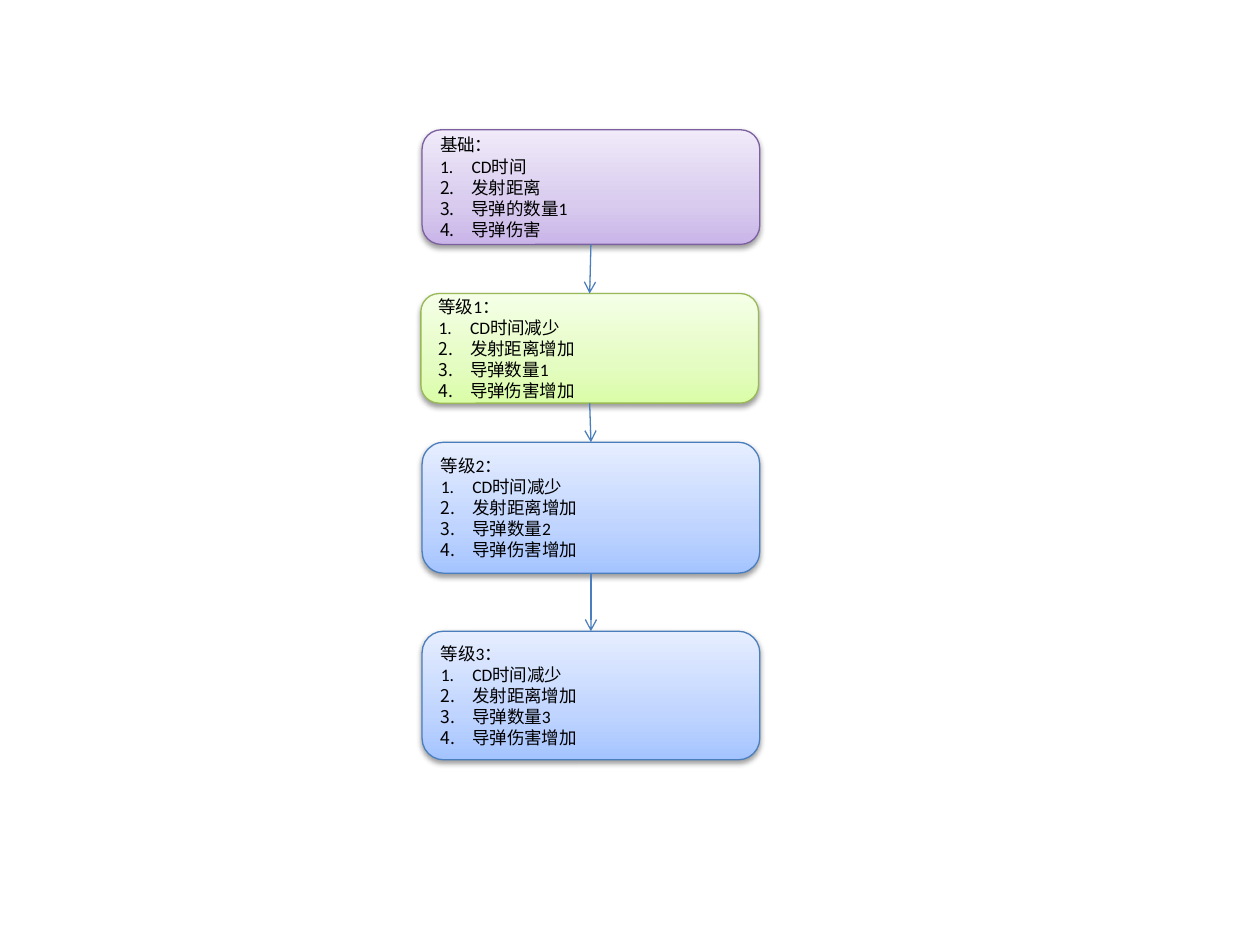
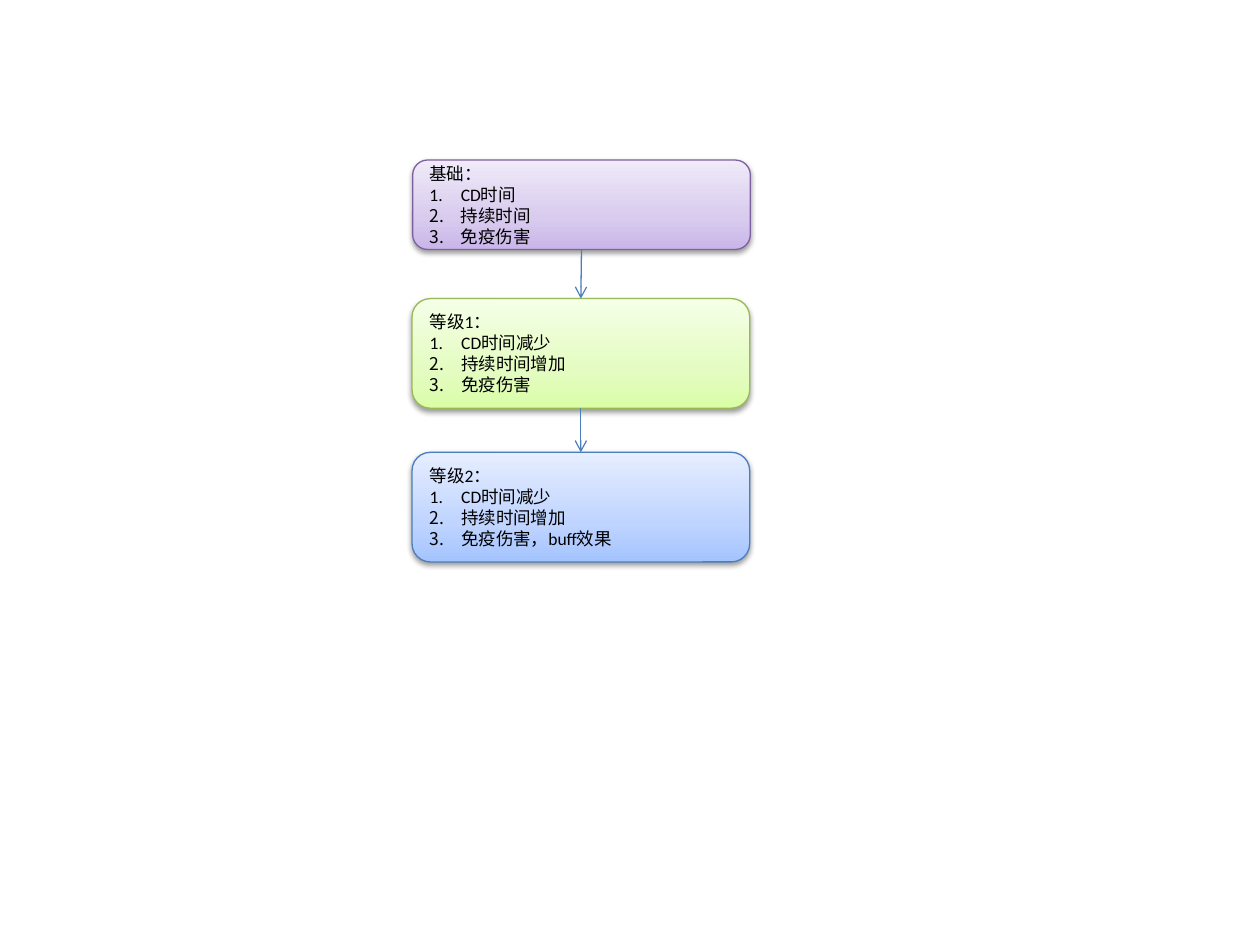
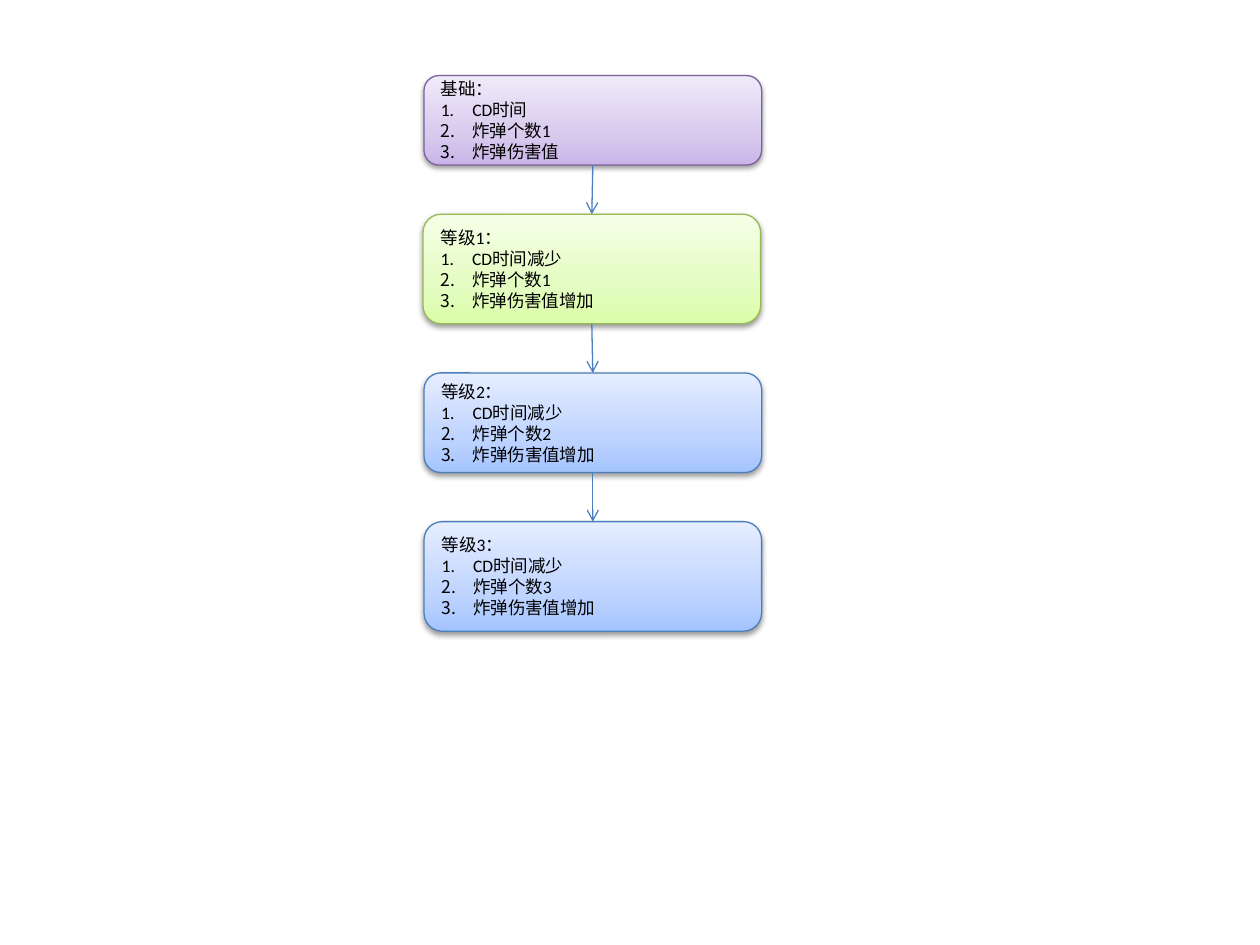
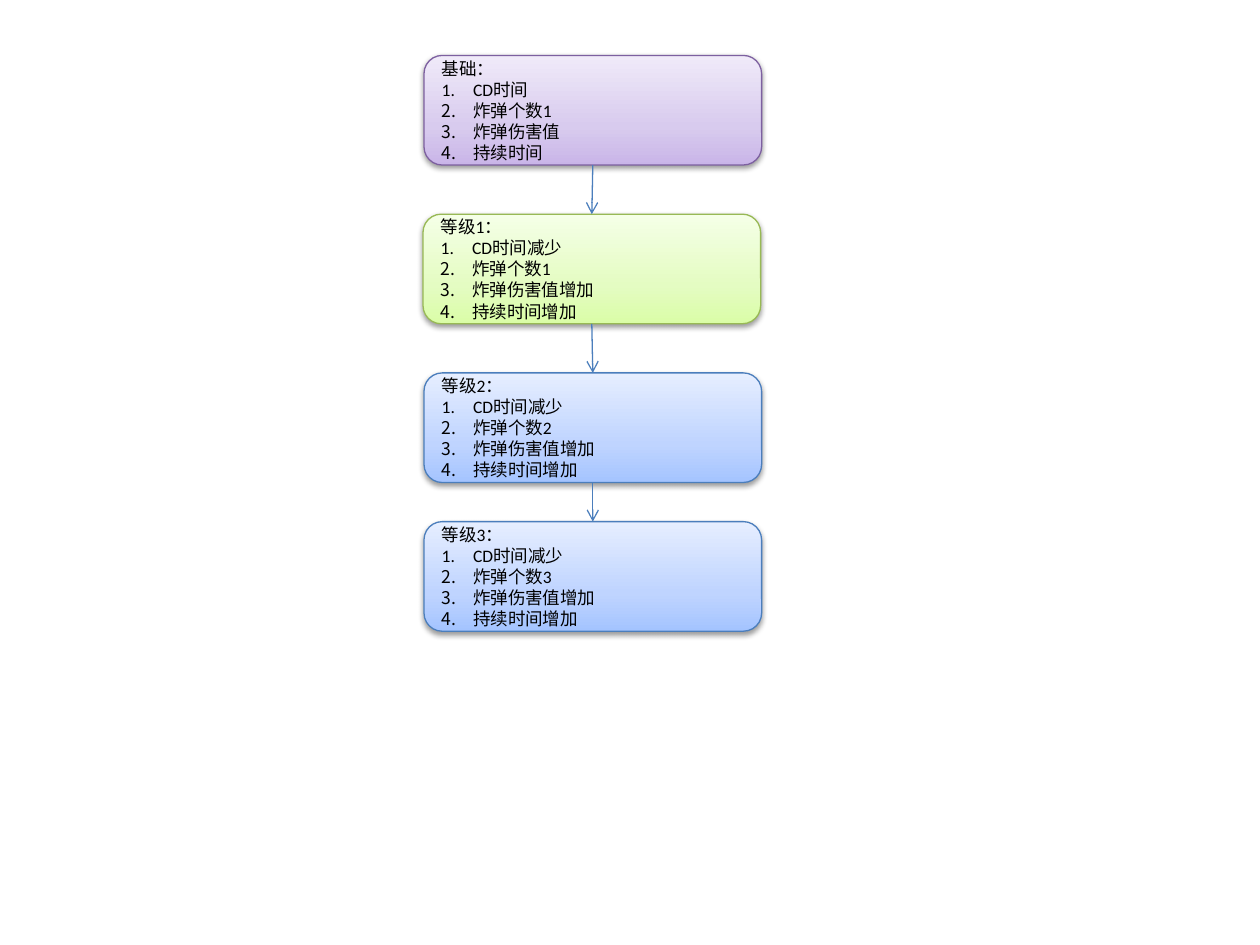
from copy import deepcopy

from lxml.etree import SubElement
from pptx import Presentation
from pptx.dml.color import RGBColor
from pptx.enum.shapes import MSO_CONNECTOR, MSO_SHAPE
from pptx.enum.text import MSO_ANCHOR, PP_ALIGN
from pptx.oxml.ns import qn
from pptx.util import Inches, Pt

presentation = Presentation()
presentation.slide_width = Inches(10)
presentation.slide_height = Inches(7.5)

# Grid: 100 columns by 75 rows
COLUMN = presentation.slide_width / 100
ROW = presentation.slide_height / 75
BOX_COLUMNS = 26.8
INDENT = int(2.5 * COLUMN)

# Shared formats: gradient stops run from the bottom of a box to its top
COLORS = {
    "purple": ["C9B5E8", "D8CBEE", "F0EAF9"],
    "green": ["DAFDA7", "E4FCC2", "F5FFE7"],
    "blue": ["A4C4FF", "BFD4FF", "E6EEFF"],
    "purple line": "7D60A0",
    "green line": "98B955",
    "blue line": "4B7EBC",
    "black": "000000",
}
STOP_POSITIONS = [0, 0.35, 1]
LEVEL_COLORS = ["purple", "green", "blue", "blue"]
LEVEL_TITLES = ["基础：", "等级1：", "等级2：", "等级3："]
FONT = {"name": "Calibri", "size": Pt(10)}
FRAME = {"word_wrap": True, "vertical_anchor": MSO_ANCHOR.MIDDLE}
SHADOW = {"blurRad": "40000", "dist": "20000", "dir": "5400000", "rotWithShape": "0"}

# One upgrade chain per slide: left column, top row, row count, numbered items
CHAINS = [
    [
        (33.5, 10.3, 9.1, ["CD时间", "发射距离", "导弹的数量1", "导弹伤害"]),
        (33.4, 23.3, 8.7, ["CD时间减少", "发射距离增加", "导弹数量1", "导弹伤害增加"]),
        (33.5, 35.1, 10.4, ["CD时间减少", "发射距离增加", "导弹数量2", "导弹伤害增加"]),
        (33.5, 50.1, 10.2, ["CD时间减少", "发射距离增加", "导弹数量3", "导弹伤害增加"]),
    ],
    [
        (32.75, 12.7, 7.1, ["CD时间", "持续时间", "免疫伤害"]),
        (32.7, 23.7, 8.7, ["CD时间减少", "持续时间增加", "免疫伤害"]),
        (32.7, 35.9, 8.7, ["CD时间减少", "持续时间增加", "免疫伤害，buff效果"]),
    ],
    [
        (33.65, 6, 7.1, ["CD时间", "炸弹个数1", "炸弹伤害值"]),
        (33.57, 17, 8.7, ["CD时间减少", "炸弹个数1", "炸弹伤害值增加"]),
        (33.65, 29.6, 7.9, ["CD时间减少", "炸弹个数2", "炸弹伤害值增加"]),
        (33.65, 41.4, 8.7, ["CD时间减少", "炸弹个数3", "炸弹伤害值增加"]),
    ],
    [
        (33.65, 4.4, 8.7, ["CD时间", "炸弹个数1", "炸弹伤害值", "持续时间"]),
        (33.57, 17, 8.7, ["CD时间减少", "炸弹个数1", "炸弹伤害值增加", "持续时间增加"]),
        (33.65, 29.6, 8.7, ["CD时间减少", "炸弹个数2", "炸弹伤害值增加", "持续时间增加"]),
        (33.65, 41.4, 8.7, ["CD时间减少", "炸弹个数3", "炸弹伤害值增加", "持续时间增加"]),
    ],
]


def set_line(line, color):
    line.color.rgb = RGBColor.from_string(COLORS[color])
    line.width = Pt(0.75)


def add_level_box(slide, left, top, rows, color):
    shape = slide.shapes.add_shape(
        MSO_SHAPE.ROUNDED_RECTANGLE, int(left * COLUMN), int(top * ROW),
        int(BOX_COLUMNS * COLUMN), int(rows * ROW))
    set_line(shape.line, color + " line")

    # Three-stop gradient, starting at the bottom
    shape.fill.gradient()
    shape.fill.gradient_angle = 90
    properties = shape._element.spPr
    stop_list = properties.find(qn("a:gradFill")).find(qn("a:gsLst"))
    stop_list.append(deepcopy(stop_list[0]))
    for stop, position, value in zip(shape.fill.gradient_stops, STOP_POSITIONS, COLORS[color]):
        stop.position = position
        stop.color.rgb = RGBColor.from_string(value)

    # Soft shadow below the box
    shape.shadow.inherit = False
    shadow = SubElement(properties.find(qn("a:effectLst")), qn("a:outerShdw"), SHADOW)
    shadow_color = SubElement(shadow, qn("a:srgbClr"), val=COLORS["black"])
    SubElement(shadow_color, qn("a:alpha"), val="38000")
    return shape


for chain in CHAINS:
    slide = presentation.slides.add_slide(presentation.slide_layouts[6])
    previous = None
    for (left, top, rows, items), color, title in zip(chain, LEVEL_COLORS, LEVEL_TITLES):
        box = add_level_box(slide, left, top, rows, color)

        # Title line and numbered list
        frame = box.text_frame
        for name, value in FRAME.items():
            setattr(frame, name, value)
        frame.text = "\n".join([title] + items)
        for number, paragraph in enumerate(frame.paragraphs):
            paragraph.alignment = PP_ALIGN.LEFT
            font = paragraph.runs[0].font
            for name, value in FONT.items():
                setattr(font, name, value)
            font.color.rgb = RGBColor.from_string(COLORS["black"])
            if number:
                paragraph_format = paragraph._p.get_or_add_pPr()
                paragraph_format.set("marL", str(INDENT))
                paragraph_format.set("indent", str(-INDENT))
                SubElement(paragraph_format, qn("a:buFont"), typeface="+mj-lt")
                SubElement(paragraph_format, qn("a:buAutoNum"), type="arabicPeriod")

        # Arrow from the level above
        if previous is not None:
            arrow = slide.shapes.add_connector(MSO_CONNECTOR.STRAIGHT, 0, 0, 0, 0)
            arrow.begin_connect(previous, 2)
            arrow.end_connect(box, 0)
            set_line(arrow.line, "blue line")
            SubElement(arrow.line._get_or_add_ln(), qn("a:tailEnd"), type="arrow")
            SubElement(arrow._element.spPr, qn("a:effectLst"))
        previous = box

presentation.save("out.pptx")
